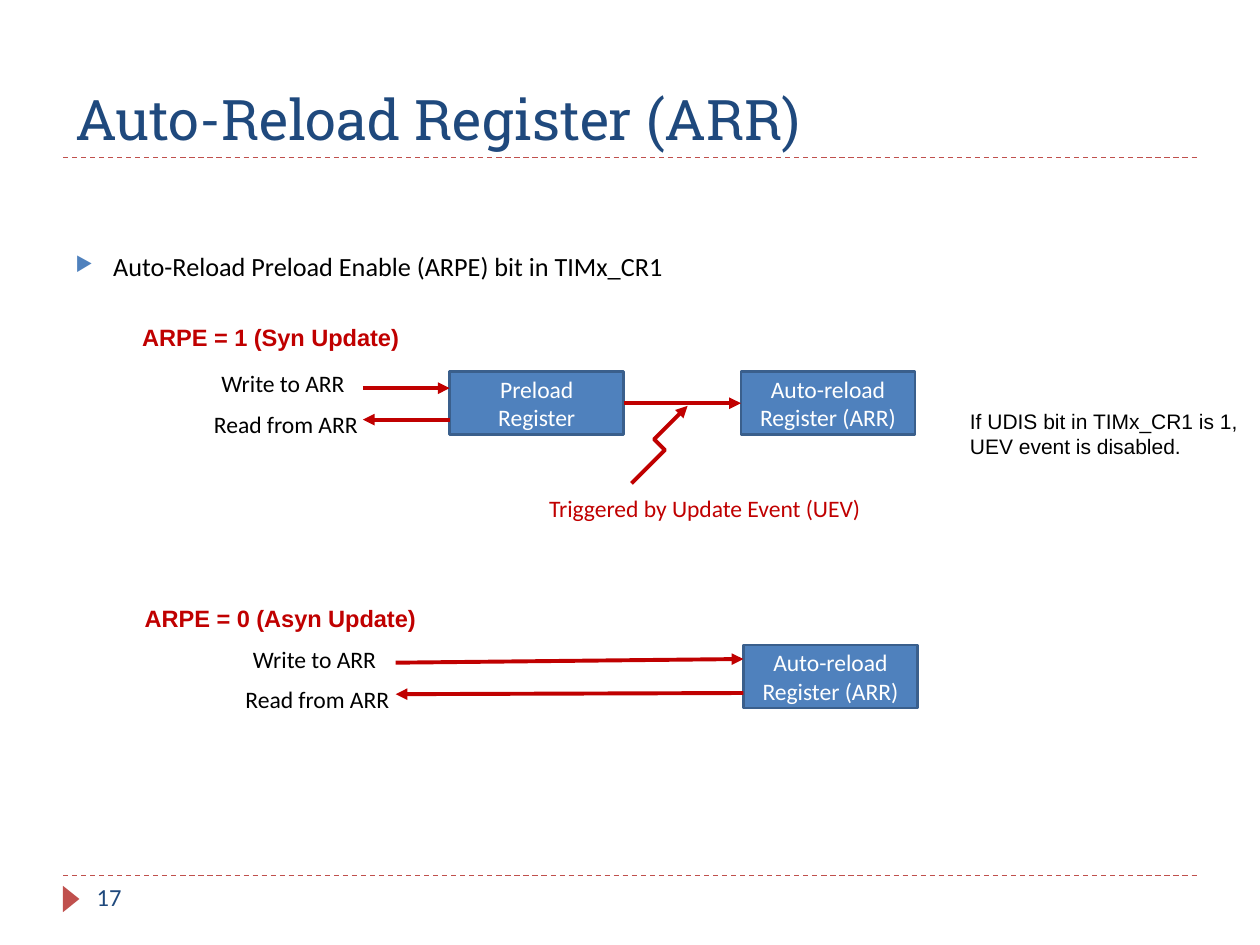
from dataclasses import dataclass

from lxml import etree
from pptx import Presentation
from pptx import util as u
from pptx.dml.color import RGBColor
from pptx.enum import dml, shapes, text
from pptx.oxml import ns


@dataclass(frozen=True)
class Theme:
    navy: str = "1F497D"
    blue: str = "4F81BD"
    edge: str = "3A5F8C"
    brick: str = "C0504D"
    red: str = "C00000"
    black: str = "000000"
    white: str = "FFFFFF"
    heading_font: str = "Roboto Slab"
    body_font: str = "Calibri"
    note_font: str = "Arial"
    title_size: float = 32
    bullet_size: float = 15
    page_size: float = 14
    label_size: float = 13.5
    note_size: float = 12


T = Theme()
REGISTER_W, REGISTER_H = 99.4, 36
LABEL_H = 24


def color(value):
    return RGBColor.from_string(value)


def add_xml(parent, tag, **attributes):
    return etree.SubElement(parent, ns.qn(tag), attributes)


def write(frame, words, size, tint, font=T.body_font, bold=False):
    paragraph = frame.paragraphs[0]
    run = paragraph.add_run()
    run.text = words
    run.font.name = font
    run.font.size = u.Pt(size)
    run.font.bold = bold
    run.font.color.rgb = color(tint)
    return paragraph


def add_text(slide, box, words, size, tint, wrap=True, anchor=text.MSO_ANCHOR.TOP, **style):
    frame = slide.shapes.add_textbox(*map(u.Pt, box)).text_frame
    frame.word_wrap = wrap
    frame.vertical_anchor = anchor
    return write(frame, words, size, tint, **style)


def add_label(slide, left, top, width, words, tint=T.black, **style):
    add_text(slide, (left, top, width, LABEL_H), words, T.label_size, tint, wrap=False, **style)


def indent(paragraph, margin, first=0):
    properties = paragraph._p.get_or_add_pPr()
    properties.set("marL", str(u.Pt(margin)))
    properties.set("indent", str(u.Pt(first)))
    return properties


def add_register(slide, left, top, words):
    register = slide.shapes.add_shape(
        shapes.MSO_SHAPE.RECTANGLE, *map(u.Pt, (left, top, REGISTER_W, REGISTER_H)))
    register.shadow.inherit = False
    register.fill.solid()
    register.fill.fore_color.rgb = color(T.blue)
    register.line.color.rgb = color(T.edge)
    register.line.width = u.Pt(1.5)
    frame = register.text_frame
    frame.word_wrap = True
    frame.vertical_anchor = text.MSO_ANCHOR.MIDDLE
    write(frame, words, T.label_size, T.white).alignment = text.PP_ALIGN.CENTER
    return register


def add_line(slide, start, end, tint, width, kind=shapes.MSO_CONNECTOR.STRAIGHT):
    line = slide.shapes.add_connector(kind, *map(u.Pt, (*start, *end)))
    line.line.color.rgb = color(tint)
    line.line.width = u.Pt(width)
    add_xml(line._element.spPr, "a:effectLst")
    return line


def add_arrow(slide, start, end, **options):
    arrow = add_line(slide, start, end, T.red, 2.25, **options)
    add_xml(arrow.line._get_or_add_ln(), "a:tailEnd", type="triangle")
    return arrow


def add_access(slide, left, top):
    """Write and read labels, one under the other."""
    add_label(slide, left, top, 92, "Write to ARR")
    add_label(slide, left - 4.3, top + 23, 100, "Read from ARR")


def add_frame(slide):
    # Dashed rules, page marker and number
    for y in (90, 500.4):
        rule = add_line(slide, (36, y), (684, y), T.brick, 0.75)
        rule.line.dash_style = dml.MSO_LINE.DASH
    marker = slide.shapes.add_shape(
        shapes.MSO_SHAPE.ISOSCELES_TRIANGLE, *map(u.Pt, (33.1, 509, 15.1, 9.4)))
    marker.rotation = 90
    marker.shadow.inherit = False
    marker.fill.solid()
    marker.fill.fore_color.rgb = color(T.brick)
    marker.line.fill.background()
    add_text(slide, (48.2, 500.4, 156, 28.8), "17", T.page_size, T.navy)


def add_heading(slide):
    # Title and bullet
    add_text(slide, (36, 12.2, 648, 77.8), "Auto-Reload Register (ARR)", T.title_size,
             T.navy, anchor=text.MSO_ANCHOR.BOTTOM, font=T.heading_font)
    bullet = add_text(slide, (36, 139.7, 648, 32.4),
                      "Auto-Reload Preload Enable (ARPE) bit in TIMx_CR1",
                      T.bullet_size, T.black)
    bullet.space_before = u.Pt(6)
    properties = indent(bullet, 21.6, -21.6)
    add_xml(add_xml(properties, "a:buClr"), "a:srgbClr", val=T.blue)
    add_xml(properties, "a:buSzPct", val="76000")
    add_xml(properties, "a:buChar", char="▶")


def add_synchronous(slide):
    # ARPE = 1: writes pass through the preload register
    add_label(slide, 74.2, 180.7, 163, "ARPE = 1 (Syn Update)", T.red,
              font=T.note_font, bold=True)
    preload = add_register(slide, 257, 212.4, "Preload Register")
    reload = add_register(slide, 423.4, 212.4, "Auto-reload Register (ARR)")
    transfer = add_arrow(slide, (356.4, 230.4), (423.4, 230.4))
    transfer.begin_connect(preload, 3)
    transfer.end_connect(reload, 1)
    add_arrow(slide, (207.4, 221.8), (257, 221.8))
    add_arrow(slide, (257, 239.8), (207.4, 239.8))
    add_access(slide, 119.5, 207.4)

    # Update event that triggers the transfer
    trigger = add_arrow(slide, (349.9, 258.5), (403.9, 249.8),
                        kind=shapes.MSO_CONNECTOR.ELBOW)
    trigger._element.spPr.xfrm.set("rot", str(315 * 60000))
    add_label(slide, 306.7, 278.6, 198, "Triggered by Update Event (UEV)", T.red)
    note = add_text(slide, (530.6, 229.7, 191.5, 36),
                    "If UDIS bit in TIMx_CR1 is 1, UEV event is disabled.",
                    T.note_size, T.black, font=T.note_font)
    indent(note, 16.6)


def add_asynchronous(slide):
    # ARPE = 0: direct access to the auto-reload register
    add_label(slide, 75.6, 341.3, 171, "ARPE = 0 (Asyn Update)", T.red,
              font=T.note_font, bold=True)
    add_register(slide, 424.8, 368.6, "Auto-reload Register (ARR)")
    add_arrow(slide, (226.1, 378.7), (424.8, 376.6))
    add_arrow(slide, (424.8, 396), (226.1, 396.7))
    add_access(slide, 137.5, 365)


def main():
    deck = Presentation()
    deck.slide_width, deck.slide_height = u.Pt(720), u.Pt(540)
    slide = deck.slides.add_slide(deck.slide_layouts[6])
    add_frame(slide)
    add_heading(slide)
    add_synchronous(slide)
    add_asynchronous(slide)
    deck.save("out.pptx")


if __name__ == "__main__":
    main()
